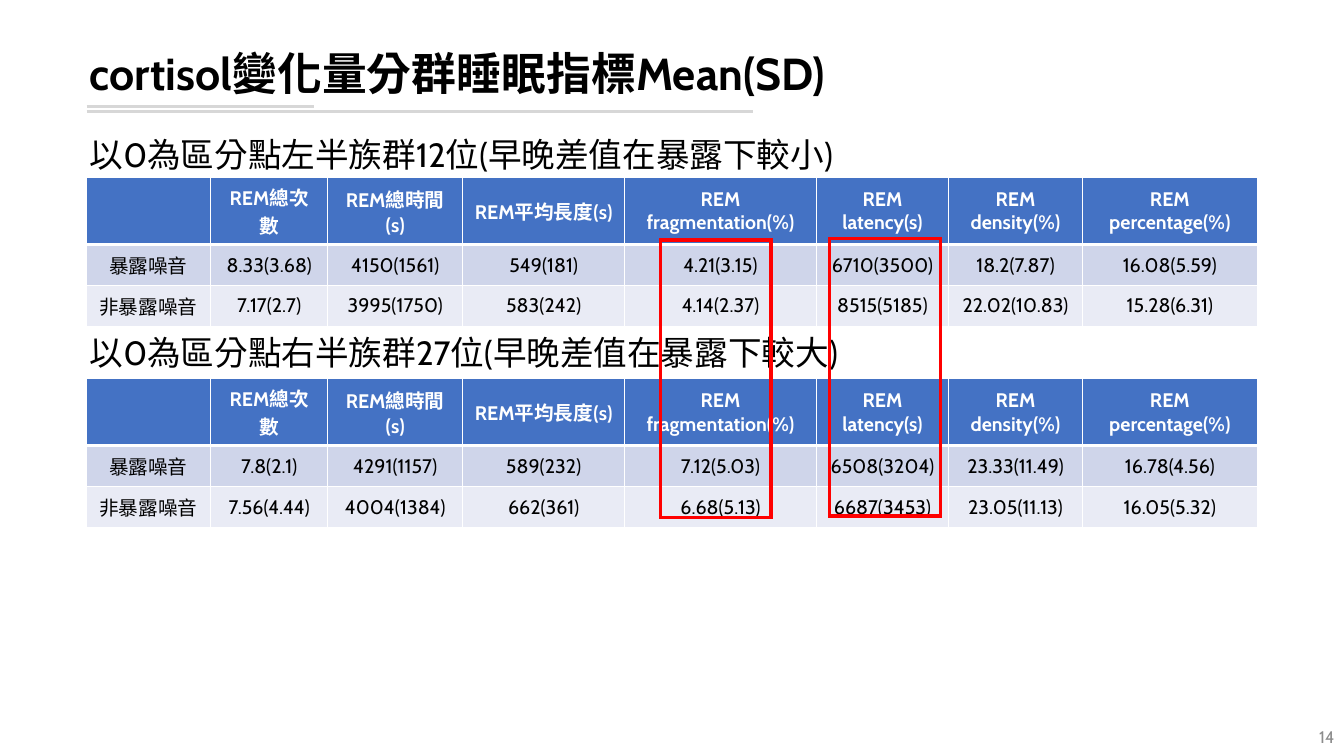
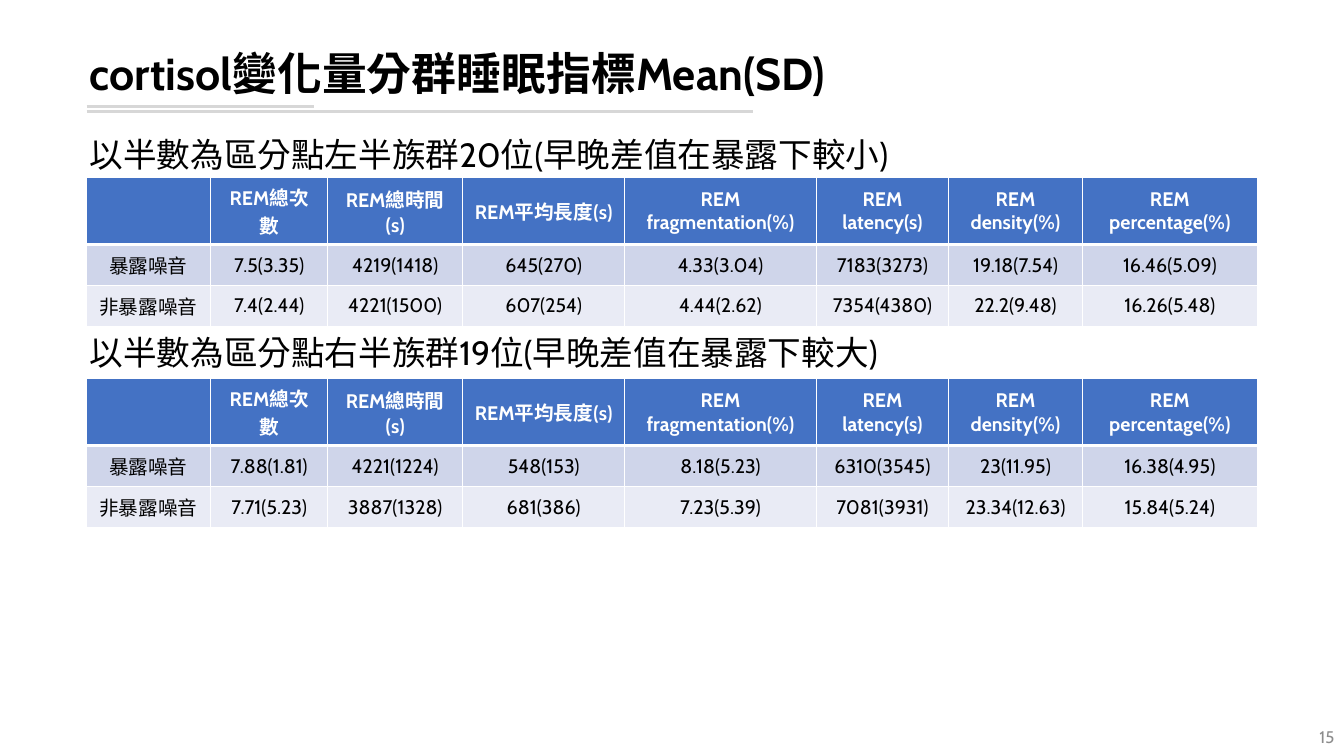
from lxml.etree import SubElement
from pptx import Presentation
from pptx.dml.color import RGBColor
from pptx.enum.shapes import MSO_CONNECTOR, MSO_SHAPE
from pptx.enum.text import MSO_ANCHOR, MSO_AUTO_SIZE, PP_ALIGN
from pptx.oxml.ns import qn
from pptx.util import Pt

BLACK = RGBColor(0x00, 0x00, 0x00)
WHITE = RGBColor(0xFF, 0xFF, 0xFF)
RED = RGBColor(0xFF, 0x00, 0x00)
RULE_GREY = RGBColor(0xD7, 0xD7, 0xD7)
NUMBER_GREY = RGBColor(0x8C, 0x8C, 0x8C)
HEADER_BLUE = RGBColor(0x44, 0x72, 0xC4)
ROW_FILLS = [RGBColor(0xCF, 0xD5, 0xEA), RGBColor(0xE9, 0xEB, 0xF5)]
FONT = "Cabin"

TITLE = "cortisol變化量分群睡眠指標Mean(SD)"
HEADERS = ["", "REM總次數", "REM總時間(s)", "REM平均長度(s)", "REM fragmentation(%)",
           "REM latency(s)", "REM density(%)", "REM percentage(%)"]
CONDITIONS = ["暴露噪音", "非暴露噪音"]
SLIDES = [
    {
        "number": 14,
        "highlights": [(471.6, 171.4), (592.6, 170.6)],
        "groups": [
            ("以0為區分點左半族群12位(早晚差值在暴露下較小)", [
                ["8.33(3.68)", "4150(1561)", "549(181)", "4.21(3.15)",
                 "6710(3500)", "18.2(7.87)", "16.08(5.59)"],
                ["7.17(2.7)", "3995(1750)", "583(242)", "4.14(2.37)",
                 "8515(5185)", "22.02(10.83)", "15.28(6.31)"],
            ]),
            ("以0為區分點右半族群27位(早晚差值在暴露下較大)", [
                ["7.8(2.1)", "4291(1157)", "589(232)", "7.12(5.03)",
                 "6508(3204)", "23.33(11.49)", "16.78(4.56)"],
                ["7.56(4.44)", "4004(1384)", "662(361)", "6.68(5.13)",
                 "6687(3453)", "23.05(11.13)", "16.05(5.32)"],
            ]),
        ],
    },
    {
        "number": 15,
        "highlights": [],
        "groups": [
            ("以半數為區分點左半族群20位(早晚差值在暴露下較小)", [
                ["7.5(3.35)", "4219(1418)", "645(270)", "4.33(3.04)",
                 "7183(3273)", "19.18(7.54)", "16.46(5.09)"],
                ["7.4(2.44)", "4221(1500)", "607(254)", "4.44(2.62)",
                 "7354(4380)", "22.2(9.48)", "16.26(5.48)"],
            ]),
            ("以半數為區分點右半族群19位(早晚差值在暴露下較大)", [
                ["7.88(1.81)", "4221(1224)", "548(153)", "8.18(5.23)",
                 "6310(3545)", "23(11.95)", "16.38(4.95)"],
                ["7.71(5.23)", "3887(1328)", "681(386)", "7.23(5.39)",
                 "7081(3931)", "23.34(12.63)", "15.84(5.24)"],
            ]),
        ],
    },
]

TEXT_LEFT, TEXT_WIDTH = 57, 837.5
TABLE_LEFT = 61.4
ROW_HEIGHTS = [48, 29.2, 29.2]
COLUMN_WIDTHS = [89.2, 83.5, 96.5, 115.6, 137.1, 94.3, 95.8, 124.7]
GROUP_PLACES = [(95.6, 103.7, 126.7), (236.8, 77, 270.3)]
TITLE_RULES = [(537.8, 79.9), (224.6, 76)]
RULE_LEFT = 61.9
HIGHLIGHT_SIZE = (79.2, 198)


def write_text(frame, text, size, color=BLACK, bold=False, align=PP_ALIGN.LEFT,
               line_spacing=None, space_before=0):
    frame.word_wrap = True
    paragraph = frame.paragraphs[0]
    paragraph.alignment = align
    paragraph.space_before = Pt(space_before)
    if line_spacing:
        paragraph.line_spacing = line_spacing
    run = paragraph.add_run()
    run.text = text
    run.font.name, run.font.size, run.font.bold = FONT, Pt(size), bold
    run.font.color.rgb = color
    run._r.get_or_add_rPr().set("lang", "zh-TW")


def add_text_box(slide, bounds, text, size, anchor=MSO_ANCHOR.TOP, **text_format):
    frame = slide.shapes.add_textbox(*map(Pt, bounds)).text_frame
    frame.vertical_anchor = anchor
    write_text(frame, text, size, **text_format)


def add_title(slide):
    title = slide.shapes.title
    title.left, title.top, title.width, title.height = map(Pt, (TEXT_LEFT, 28.8, TEXT_WIDTH, 51))
    title.text_frame.auto_size = MSO_AUTO_SIZE.NONE
    title.text_frame.vertical_anchor = MSO_ANCHOR.MIDDLE
    write_text(title.text_frame, TITLE, 32, bold=True, line_spacing=0.9)
    for right, top in TITLE_RULES:
        rule = slide.shapes.add_connector(
            MSO_CONNECTOR.STRAIGHT, Pt(RULE_LEFT), Pt(top), Pt(right), Pt(top))
        rule.line.color.rgb = RULE_GREY
        rule.line.width = Pt(2.25)
        SubElement(rule._element.spPr, qn("a:effectLst"))


def add_borders(cell, bottom_width):
    properties = cell._tc.get_or_add_tcPr()
    for side, width in (("L", 1), ("R", 1), ("T", 1), ("B", bottom_width)):
        border = SubElement(properties, qn(f"a:ln{side}"), w=str(Pt(width)))
        fill = SubElement(border, qn("a:solidFill"))
        SubElement(fill, qn("a:srgbClr"), val=str(WHITE))


def add_sleep_table(slide, top, values):
    rows = [HEADERS] + [[name] + row for name, row in zip(CONDITIONS, values)]
    table = slide.shapes.add_table(
        len(rows), len(HEADERS), Pt(TABLE_LEFT), Pt(top),
        Pt(sum(COLUMN_WIDTHS)), Pt(sum(ROW_HEIGHTS))).table
    for column, width in zip(table.columns, COLUMN_WIDTHS):
        column.width = Pt(width)
    for table_row, height in zip(table.rows, ROW_HEIGHTS):
        table_row.height = Pt(height)
    for row_index, row in enumerate(rows):
        is_header = row_index == 0
        for column_index, text in enumerate(row):
            cell = table.cell(row_index, column_index)
            add_borders(cell, 3 if is_header else 1)
            cell.fill.solid()
            cell.fill.fore_color.rgb = HEADER_BLUE if is_header else ROW_FILLS[row_index - 1]
            cell.vertical_anchor = MSO_ANCHOR.MIDDLE
            write_text(cell.text_frame, text, 14, color=WHITE if is_header else BLACK,
                       bold=is_header, align=PP_ALIGN.CENTER)


def add_highlight(slide, left, top):
    shape = slide.shapes.add_shape(
        MSO_SHAPE.RECTANGLE, Pt(left), Pt(top), *map(Pt, HIGHLIGHT_SIZE))
    shape.shadow.inherit = False
    shape.fill.background()
    shape.line.color.rgb = RED
    shape.line.width = Pt(2.25)
    SubElement(shape._element.spPr.find(qn("a:ln")), qn("a:miter"), lim="800000")


def build_slide(presentation, content):
    slide = presentation.slides.add_slide(presentation.slide_layouts[5])
    add_title(slide)
    add_text_box(slide, (910.8, 511.9, 49.5, 28.8), str(content["number"]), 12,
                 anchor=MSO_ANCHOR.MIDDLE, color=NUMBER_GREY, align=PP_ALIGN.RIGHT)
    for (heading, values), place in zip(content["groups"], GROUP_PLACES):
        heading_top, heading_height, table_top = place
        add_sleep_table(slide, table_top, values)
        add_text_box(slide, (TEXT_LEFT, heading_top, TEXT_WIDTH, heading_height), heading, 24,
                     line_spacing=0.9, space_before=10)
    for left, top in content["highlights"]:
        add_highlight(slide, left, top)


def main():
    presentation = Presentation()
    presentation.slide_width, presentation.slide_height = Pt(960), Pt(540)
    for content in SLIDES:
        build_slide(presentation, content)
    presentation.save("out.pptx")


if __name__ == "__main__":
    main()
